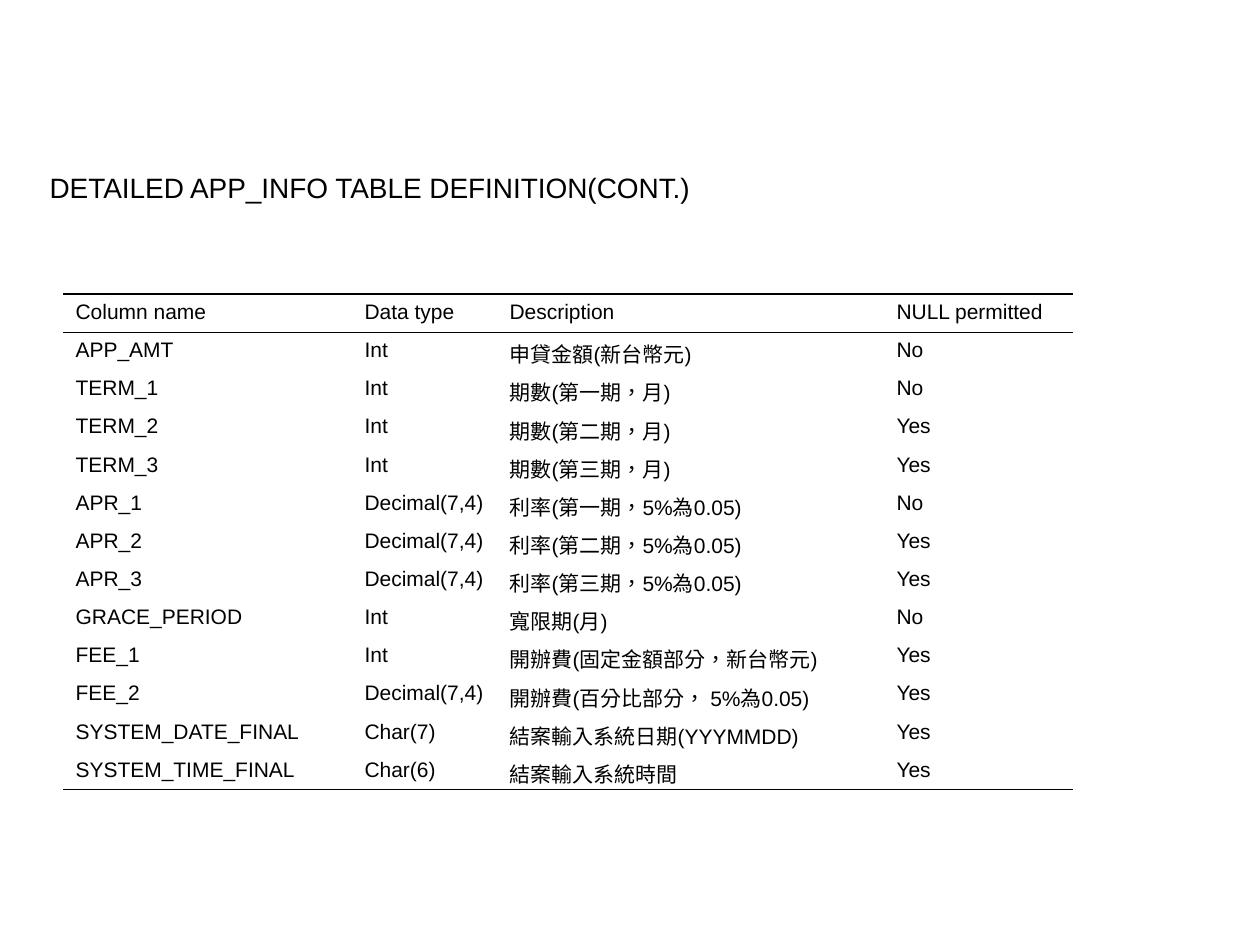
from lxml import etree
from pptx import Presentation
from pptx.dml.color import RGBColor
from pptx.enum import lang, text
from pptx.oxml.ns import qn
from pptx.util import Pt

# Content
TITLE = "DETAILED APP_INFO TABLE DEFINITION(CONT.)"
DEFINITIONS = [
    ("Column name", "Data type", "Description", "NULL permitted"),
    ("APP_AMT", "Int", "申貸金額(新台幣元)", "No"),
    ("TERM_1", "Int", "期數(第一期，月)", "No"),
    ("TERM_2", "Int", "期數(第二期，月)", "Yes"),
    ("TERM_3", "Int", "期數(第三期，月)", "Yes"),
    ("APR_1", "Decimal(7,4)", "利率(第一期，5%為0.05)", "No"),
    ("APR_2", "Decimal(7,4)", "利率(第二期，5%為0.05)", "Yes"),
    ("APR_3", "Decimal(7,4)", "利率(第三期，5%為0.05)", "Yes"),
    ("GRACE_PERIOD", "Int", "寬限期(月)", "No"),
    ("FEE_1", "Int", "開辦費(固定金額部分，新台幣元)", "Yes"),
    ("FEE_2", "Decimal(7,4)", "開辦費(百分比部分， 5%為0.05)", "Yes"),
    ("SYSTEM_DATE_FINAL", "Char(7)", "結案輸入系統日期(YYYMMDD)", "Yes"),
    ("SYSTEM_TIME_FINAL", "Char(6)", "結案輸入系統時間", "Yes"),
]

# Layout in px
SLIDE = (1260, 945)
TITLE_BOX = (37, 164, 1171, 47)
TABLE_LEFT, TABLE_TOP, TABLE_HEIGHT = 63, 294, 496
COLUMNS = (289, 145, 387, 189)

FONT = "Arial"
BLACK = RGBColor(0, 0, 0)
OUTER_RULE, HEADER_RULE = 0.75, 0.45  # points


def px(n):
    return round(n * 914400 / 126)


def write(paragraph, words, size):
    run = paragraph.add_run()
    run.text = words
    run.font.name = FONT
    run.font.size = Pt(size)
    run.font.color.rgb = BLACK
    run.font.language_id = lang.MSO_LANGUAGE_ID.TRADITIONAL_CHINESE


def set_borders(cell, top, bottom):
    """Draw rules of the given widths; a width of 0 means no rule."""
    props = cell._tc.get_or_add_tcPr()
    for side, width in (("L", 0), ("R", 0), ("T", top), ("B", bottom)):
        line = etree.SubElement(props, qn(f"a:ln{side}"), w=str(Pt(width)))
        if width:
            fill = etree.SubElement(line, qn("a:solidFill"))
            etree.SubElement(fill, qn("a:srgbClr"), val=str(BLACK))
        else:
            etree.SubElement(line, qn("a:noFill"))


prs = Presentation()
prs.slide_width, prs.slide_height = map(px, SLIDE)
slide = prs.slides.add_slide(prs.slide_layouts[5])

# Title
title = slide.shapes.title
title.left, title.top, title.width, title.height = map(px, TITLE_BOX)
frame = title.text_frame
frame.word_wrap = True
frame.auto_size = text.MSO_AUTO_SIZE.NONE
frame.vertical_anchor = text.MSO_ANCHOR.TOP
frame.paragraphs[0].alignment = text.PP_ALIGN.LEFT
write(frame.paragraphs[0], TITLE, 16)

# Table
row_count = len(DEFINITIONS)
table = slide.shapes.add_table(
    row_count, len(COLUMNS), px(TABLE_LEFT), px(TABLE_TOP),
    px(sum(COLUMNS)), px(TABLE_HEIGHT)).table
table.first_row = table.horz_banding = False
for column, width in zip(table.columns, COLUMNS):
    column.width = px(width)

# Rules by the row edge they lie on
rules = {0: OUTER_RULE, 1: HEADER_RULE, row_count: OUTER_RULE}
for r, definition in enumerate(DEFINITIONS):
    table.rows[r].height = px(TABLE_HEIGHT / row_count)
    for c, words in enumerate(definition):
        cell = table.cell(r, c)
        cell.margin_bottom = 0  # keeps the Chinese lines within the row height
        set_borders(cell, rules.get(r, 0), rules.get(r + 1, 0))
        cell.fill.background()
        write(cell.text_frame.paragraphs[0], words, 12)

prs.save("out.pptx")
